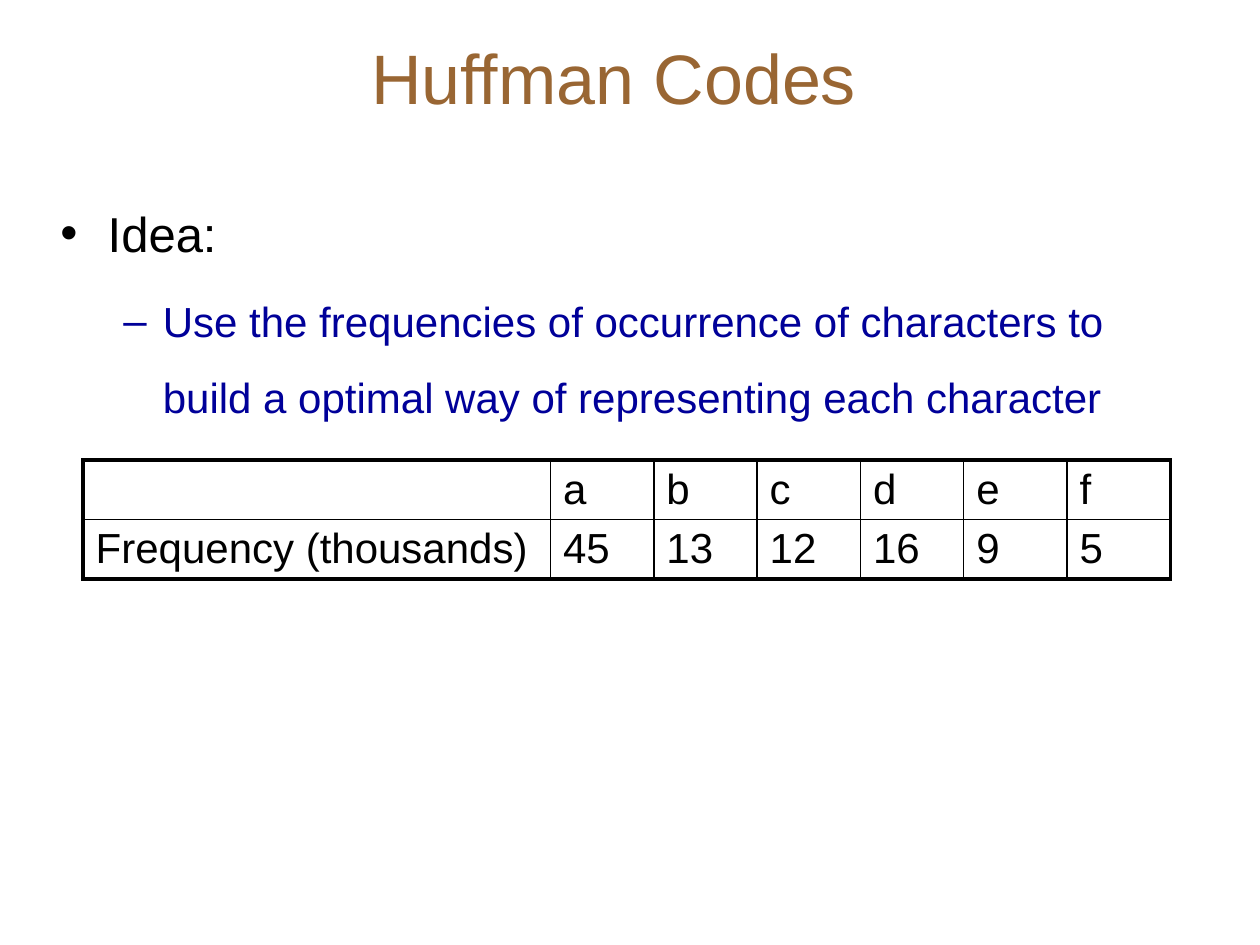
from pptx import Presentation
from pptx import util as u
from pptx.dml.color import RGBColor
from pptx.enum import text
from pptx.oxml import parse_xml
from pptx.oxml.ns import nsdecls

Inches, Pt = u.Inches, u.Pt
BLACK, BROWN, BLUE = "000000", "996633", "000099"
THIN, THICK = 1, 2.25


def colour(value):
    return RGBColor.from_string(value)


def style(item, formats):
    for name, value in formats.items():
        setattr(item, name, value)


def write(para, words, size, shade=BLACK):
    para.text = words
    style(para.font, {"name": "Arial", "size": Pt(size)})
    para.font.color.rgb = colour(shade)


def place(shape, box):
    sides = ("left", "top", "width", "height")
    style(shape, dict(zip(sides, map(Inches, box))))
    shape.text_frame.auto_size = text.MSO_AUTO_SIZE.NONE


def add_title(page, box, words):
    place(page.shapes.title, box)
    para = page.shapes.title.text_frame.paragraphs[0]
    para.alignment = text.PP_ALIGN.CENTER
    write(para, words, 40, BROWN)


def add_list(page, box, items):
    """Fill the body; its bullets and indents come from the template."""
    body = page.placeholders[1]
    place(body, box)
    frame = body.text_frame
    for index, (level, words, size, shade) in enumerate(items):
        para = frame.add_paragraph() if index else frame.paragraphs[0]
        style(para, {"level": level, "line_spacing": 1.5})
        write(para, words, size, shade)
    frame.paragraphs[0].space_before = Pt(0)


def set_borders(cell, widths):
    """Draw the left, right, top and bottom borders, in that order."""
    properties = cell._tc.get_or_add_tcPr()
    for position, (side, width) in enumerate(zip("LRTB", widths)):
        line = parse_xml(
            f'<a:ln{side} {nsdecls("a")} w="{Pt(width)}">'
            f'<a:solidFill><a:srgbClr val="{BLACK}"/></a:solidFill></a:ln{side}>'
        )
        properties.insert(position, line)


def add_frequency_table(page, box, rows, label_width):
    left, top, width, height = map(Inches, box)
    last_row, last_column = len(rows) - 1, len(rows[0]) - 1
    table = page.shapes.add_table(
        len(rows), len(rows[0]), left, top, width, height).table
    style(table, {"first_row": False, "horz_banding": False})
    for index, column in enumerate(table.columns):
        column.width = (int((width - Inches(label_width)) / last_column)
                        if index else Inches(label_width))
    for r, row in enumerate(rows):
        for c, words in enumerate(row):
            cell = table.cell(r, c)
            cell.fill.background()
            cell.vertical_anchor = text.MSO_ANCHOR.MIDDLE
            write(cell.text_frame.paragraphs[0], words, 24)
            outer = (c == 0, c == last_column, r == 0, r == last_row)
            set_borders(cell, [THICK if edge else THIN for edge in outer])


def main():
    deck = Presentation()
    style(deck, {"slide_width": Inches(10), "slide_height": Inches(7.5)})
    page = deck.slides.add_slide(deck.slide_layouts[1])
    page.background.fill.solid()
    page.background.fill.fore_color.rgb = colour("FFFFFF")
    add_title(page, (0.37, 0.11, 9, 0.99), "Huffman Codes")
    add_list(page, (0.38, 1.33, 9, 5.55), [
        (0, "Idea:", 28, BLACK),
        (1, "Use the frequencies of occurrence of characters to build "
            "a optimal way of representing each character", 24, BLUE),
    ])
    add_frequency_table(page, (0.66, 3.65, 8.63, 0.94), [
        ["", "a", "b", "c", "d", "e", "f"],
        ["Frequency (thousands)", "45", "13", "12", "16", "9", "5"],
    ], label_width=3.71)
    deck.save("out.pptx")


if __name__ == "__main__":
    main()
